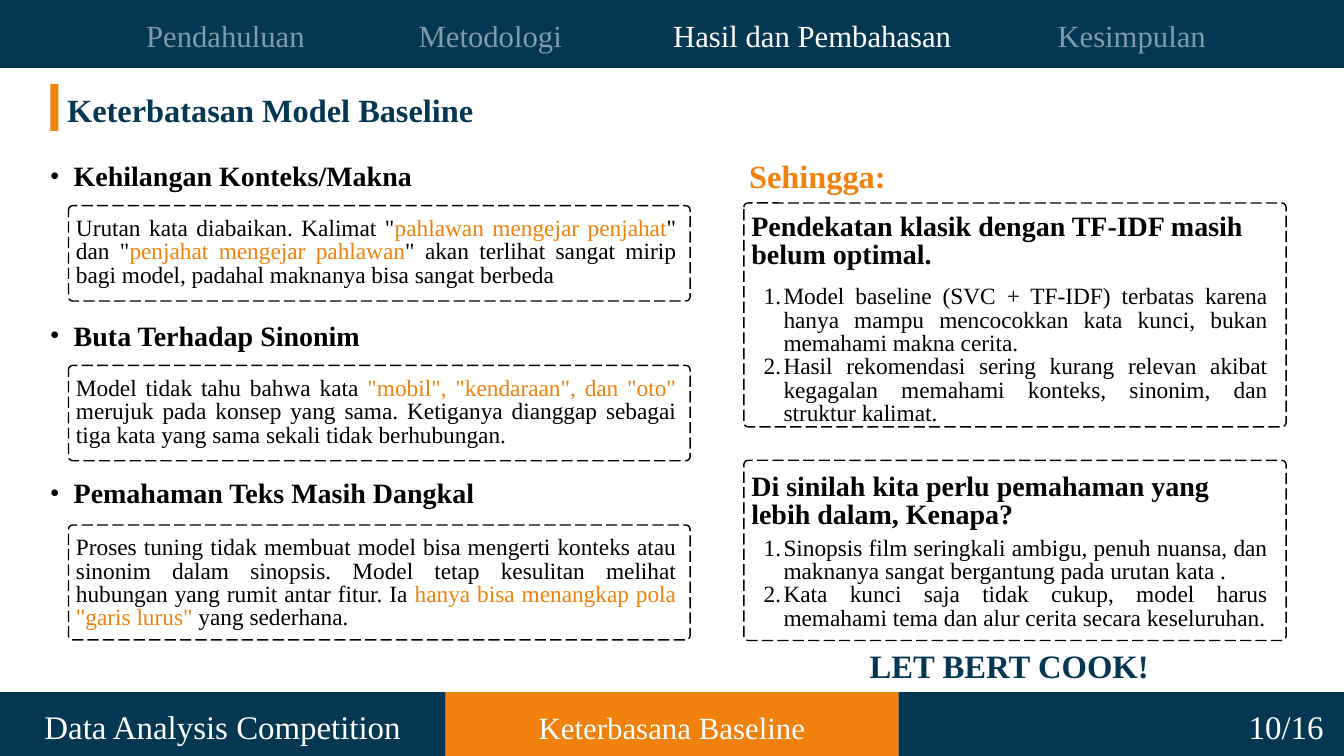
"""Build the slide on the limitations of the baseline model."""
from dataclasses import dataclass

import pptx
import pptx.dml.color
import pptx.enum.dml
import pptx.enum.shapes
import pptx.enum.text
import pptx.oxml
import pptx.oxml.ns
import pptx.util
from pptx.shapes.autoshape import Shape
from pptx.slide import Slide

Pt = pptx.util.Pt
RGBColor = pptx.dml.color.RGBColor
Align = pptx.enum.text.PP_ALIGN
Preset = pptx.enum.shapes.MSO_SHAPE

NAVY = RGBColor(0x04, 0x37, 0x52)
ORANGE = RGBColor(0xF0, 0x81, 0x0C)
WHITE = RGBColor(0xFF, 0xFF, 0xFF)
PANEL = RGBColor(0xFF, 0xFF, 0xFE)
BLACK = RGBColor(0x00, 0x00, 0x00)
FONT = "Times New Roman"
BULLET = '<a:buChar {} char="•"/>'
NUMBER = '<a:buAutoNum {} type="arabicPeriod"/>'


@dataclass(frozen=True)
class Box:
    left: float
    top: float
    width: float
    height: float


@dataclass(frozen=True)
class Style:
    size: float
    spacing: float
    color: RGBColor = BLACK
    bold: bool = False
    align: Align = Align.LEFT
    opacity: int = 100
    marker: str = ""
    indent: tuple[float, float] = (0, 0)


@dataclass(frozen=True)
class Run:
    text: str
    color: RGBColor | None = None


@dataclass(frozen=True)
class Limitation:
    heading: str
    heading_top: float
    panel_top: float
    panel_height: float
    runs: list[Run]


@dataclass(frozen=True)
class Conclusion:
    heading: str
    heading_top: float
    panel_top: float
    panel_height: float
    list_top: float
    list_height: float
    points: list[str]


TAB = Style(32.9, 46.1, WHITE, align=Align.CENTER)
FADED_TAB = Style(32.9, 46.1, WHITE, align=Align.CENTER, opacity=50)
FOOTER = Style(35.3, 49.4, WHITE, align=Align.CENTER)
SECTION = Style(33.1, 46.3, WHITE, align=Align.CENTER)
TITLE = Style(34.7, 48.5, NAVY, bold=True)
RESULT = Style(34.7, 48.5, ORANGE, bold=True, align=Align.CENTER)
CLOSING = Style(35, 49, NAVY, bold=True, align=Align.CENTER)
BULLETED = Style(30, 42, bold=True, marker=BULLET, indent=(51, -25.5))
HEADING = Style(30, 30, bold=True)
BODY = Style(25, 25, align=Align.JUSTIFY)
NUMBERED = Style(25, 25, align=Align.JUSTIFY, marker=NUMBER, indent=(42.5, -21.25))

BANDS = [
    (Box(0, 741.6, 477.4, 80.6), NAVY),
    (Box(962.6, 741.6, 477.4, 80.6), NAVY),
    (Box(477.4, 741.6, 485.2, 80.6), ORANGE),
    (Box(0, -7.9, 1440, 80.6), NAVY),
    (Box(54, 90, 8.6, 50.4), ORANGE),
]
LABELS = [
    ("Pendahuluan", Box(152.6, 11.5, 177.8, 46), FADED_TAB),
    ("Metodologi", Box(445.7, 11.5, 159.1, 46), FADED_TAB),
    ("Hasil dan Pembahasan", Box(719.3, 11.5, 301.7, 46), TAB),
    ("Kesimpulan", Box(1132.6, 11.5, 159.8, 46), FADED_TAB),
    ("Data Analysis Competition", Box(47.5, 749.5, 382.3, 49), FOOTER),
    ("Keterbasana Baseline", Box(540.7, 752.4, 358.6, 46), SECTION),
    ("10/16", Box(1334.2, 749.5, 87.8, 49), FOOTER),
    ("Sehingga:", Box(797, 160.6, 157.7, 52.6), RESULT),
    ("LET BERT COOK!", Box(801, 684.7, 560.9, 49), CLOSING),
]
LIMITATIONS = [
    Limitation("Kehilangan Konteks/Makna", 164.2, 220.3, 102.2, [
        Run('Urutan kata diabaikan. Kalimat "'),
        Run("pahlawan mengejar penjahat", ORANGE),
        Run('" dan "'),
        Run("penjahat mengejar pahlawan", ORANGE),
        Run('" akan terlihat sangat mirip bagi model, padahal maknanya bisa sangat berbeda'),
    ]),
    Limitation("Buta Terhadap Sinonim", 335.5, 391.5, 102.2, [
        Run("Model tidak tahu bahwa kata"),
        Run(' "mobil", "kendaraan", dan "oto"', ORANGE),
        Run(" merujuk pada konsep yang sama. Ketiganya dianggap sebagai tiga kata "
            "yang sama sekali tidak berhubungan."),
    ]),
    Limitation("Pemahaman Teks Masih Dangkal", 504, 562.5, 123.1, [
        Run("Proses tuning tidak membuat model bisa mengerti konteks atau sinonim dalam sinopsis. "
            "Model tetap kesulitan melihat hubungan yang rumit antar fitur. Ia "),
        Run('hanya bisa menangkap pola "garis lurus"', ORANGE),
        Run(" yang sederhana."),
    ]),
]
CONCLUSIONS = [
    Conclusion("Pendekatan klasik dengan TF-IDF masih belum optimal.", 229, 217.5, 239.8, 306.7, 150.5, [
        "Model baseline (SVC + TF-IDF) terbatas karena hanya mampu mencocokkan kata kunci, "
        "bukan memahami makna cerita.",
        "Hasil rekomendasi sering kurang relevan akibat kegagalan memahami konteks, sinonim, "
        "dan struktur kalimat.",
    ]),
    Conclusion("Di sinilah kita perlu pemahaman yang lebih dalam, Kenapa?", 507.6, 493.2, 193, 576, 100.8, [
        "Sinopsis film seringkali ambigu, penuh nuansa, dan maknanya sangat bergantung "
        "pada urutan kata .",
        "Kata kunci saja tidak cukup, model harus memahami tema dan alur cerita secara keseluruhan.",
    ]),
]


def place(shape: Shape, box: Box) -> None:
    shape.left, shape.top = Pt(box.left), Pt(box.top)
    shape.width, shape.height = Pt(box.width), Pt(box.height)


def write(shape: Shape, paragraphs: list[list[Run]], style: Style) -> None:
    frame = shape.text_frame
    frame.word_wrap = True
    frame.auto_size = pptx.enum.text.MSO_AUTO_SIZE.NONE
    frame.vertical_anchor = pptx.enum.text.MSO_ANCHOR.TOP
    frame.margin_left = frame.margin_top = frame.margin_right = frame.margin_bottom = 0
    namespace = pptx.oxml.ns.nsdecls("a")
    for index, runs in enumerate(paragraphs):
        paragraph = frame.add_paragraph() if index else frame.paragraphs[0]
        if style.marker:
            properties = paragraph._p.get_or_add_pPr()
            margin, first_line = style.indent
            properties.set("marL", str(Pt(margin)))
            properties.set("indent", str(Pt(first_line)))
            properties.append(pptx.oxml.parse_xml(f'<a:buFont {namespace} typeface="{FONT}"/>'))
            properties.append(pptx.oxml.parse_xml(style.marker.format(namespace)))
        paragraph.alignment = style.align
        paragraph.line_spacing = Pt(style.spacing)
        paragraph.space_before = Pt(0)
        for part in runs:
            run = paragraph.add_run()
            run.text = part.text
            run.font.name, run.font.size, run.font.bold = FONT, Pt(style.size), style.bold
            run.font.color.rgb = part.color or style.color
            if style.opacity < 100:
                color = run._r.rPr.find(".//" + pptx.oxml.ns.qn("a:srgbClr"))
                color.append(pptx.oxml.parse_xml(f'<a:alpha {namespace} val="{style.opacity * 1000}"/>'))


def add_text(slide: Slide, box: Box, runs: list[Run], style: Style) -> None:
    shape = slide.shapes.add_textbox(Pt(box.left), Pt(box.top), Pt(box.width), Pt(box.height))
    write(shape, [runs], style)


def add_filled(slide: Slide, preset: Preset, box: Box, color: RGBColor) -> Shape:
    shape = slide.shapes.add_shape(preset, Pt(box.left), Pt(box.top), Pt(box.width), Pt(box.height))
    shape.shadow.inherit = False
    shape.fill.solid()
    shape.fill.fore_color.rgb = color
    shape.line.fill.background()
    return shape


def add_panel(slide: Slide, box: Box) -> None:
    shape = add_filled(slide, Preset.ROUNDED_RECTANGLE, box, PANEL)
    shape.adjustments[0] = 4.5 / min(box.width, box.height)
    shape.line.color.rgb = BLACK
    shape.line.width = Pt(1.5)
    shape.line.dash_style = pptx.enum.dml.MSO_LINE.LONG_DASH


def main() -> None:
    presentation = pptx.Presentation()
    presentation.slide_width, presentation.slide_height = Pt(1440), Pt(810)
    slide = presentation.slides.add_slide(presentation.slide_layouts.get_by_name("Two Content"))
    title, *bodies = slide.placeholders
    for box, color in BANDS:
        add_filled(slide, Preset.RECTANGLE, box, color)
    place(title, Box(72, 90, 602.6, 49.7))
    write(title, [[Run("Keterbatasan Model Baseline")]], TITLE)
    for text, box, style in LABELS:
        add_text(slide, box, [Run(text)], style)
    for item in LIMITATIONS:
        add_text(slide, Box(28, item.heading_top, 548.6, 43.2), [Run(item.heading)], BULLETED)
        add_panel(slide, Box(73.4, item.panel_top, 666, item.panel_height))
        add_text(slide, Box(81.4, item.panel_top + 13.2, 643, item.panel_height - 24), item.runs, BODY)
    for item, body in zip(CONCLUSIONS, bodies):
        add_panel(slide, Box(797, item.panel_top, 581, item.panel_height))
        add_text(slide, Box(805, item.heading_top, 560.9, 64), [Run(item.heading)], HEADING)
        slide.shapes._spTree.append(body._element)
        place(body, Box(797, item.list_top, 560.9, item.list_height))
        write(body, [[Run(point)] for point in item.points], NUMBERED)
    presentation.save("out.pptx")


if __name__ == "__main__":
    main()
